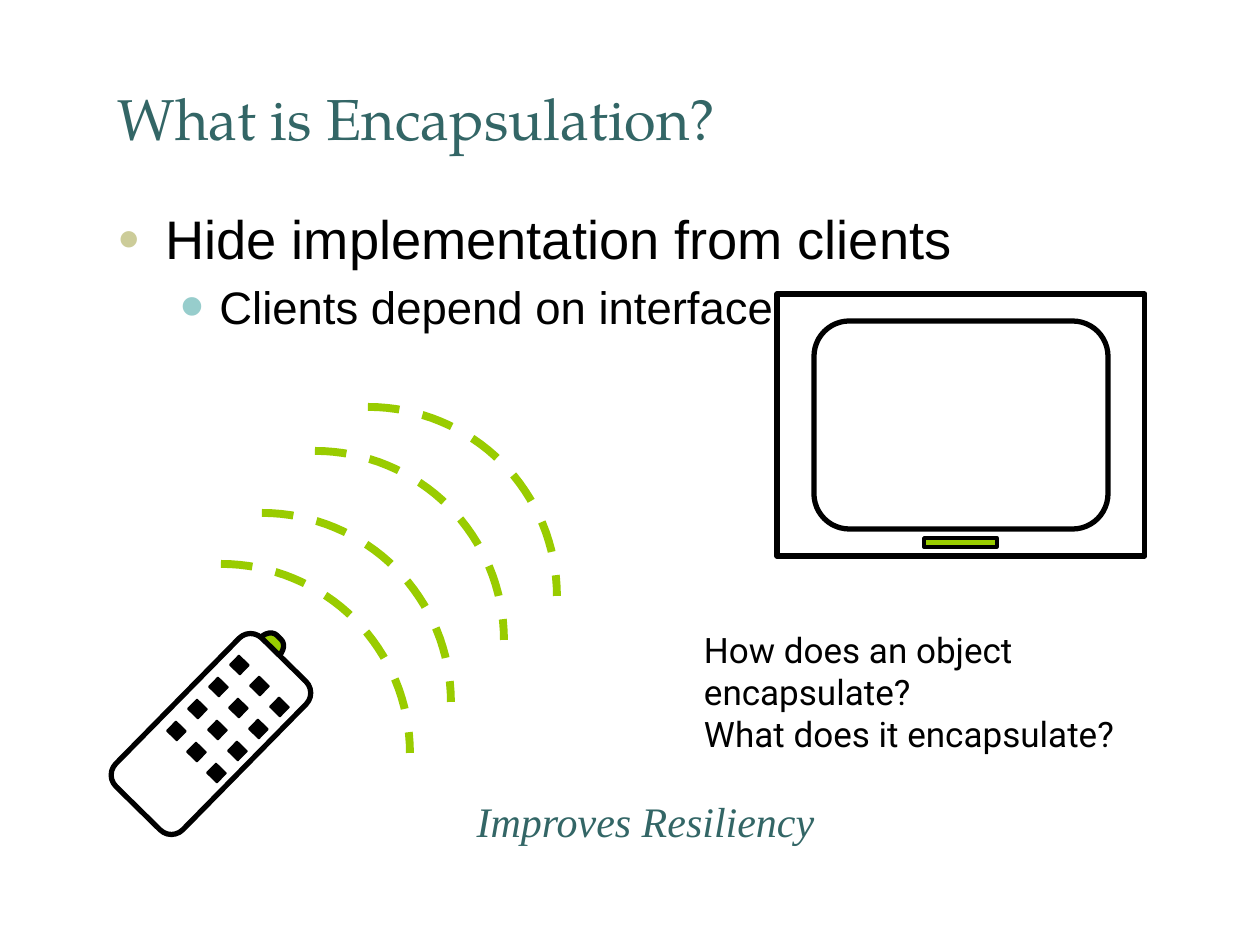
from math import cos, pi, sin

from lxml.etree import SubElement
from pptx import Presentation
from pptx.dml.color import RGBColor
from pptx.enum.dml import MSO_LINE
from pptx.enum.shapes import MSO_SHAPE
from pptx.enum.text import MSO_ANCHOR, PP_ALIGN
from pptx.oxml.ns import qn
from pptx.util import Pt

PX = 914400 // 126
BLACK = RGBColor(0x00, 0x00, 0x00)
LIME = RGBColor(0x99, 0xCC, 0x00)
TEAL = RGBColor(0x33, 0x66, 0x66)
SAND = RGBColor(0xCC, 0xCC, 0x99)
AQUA = RGBColor(0x97, 0xCD, 0xCC)

presentation = Presentation()
presentation.slide_width = 1260 * PX
presentation.slide_height = 945 * PX
slide = presentation.slides.add_slide(presentation.slide_layouts[6])


def add_part(preset, box, weight, fill=None, rotation=0, rounding=None):
    part = slide.shapes.add_shape(preset, *(length * PX for length in box))
    part.shadow.inherit = False
    part.rotation = rotation
    if rounding is not None:
        part.adjustments[0] = rounding
    if fill is None:
        part.fill.background()
    else:
        part.fill.solid()
        part.fill.fore_color.rgb = fill
    part.line.color.rgb = BLACK
    part.line.width = Pt(weight)


def add_text(box, lines, frame_format, paragraph_format, font_format, color):
    frame = slide.shapes.add_textbox(*(length * PX for length in box)).text_frame
    for key, value in {"word_wrap": True, **frame_format}.items():
        setattr(frame, key, value)
    frame.text = "\n".join(lines)
    for paragraph in frame.paragraphs:
        for key, value in paragraph_format.items():
            setattr(paragraph, key, value)
        for key, value in font_format.items():
            setattr(paragraph.font, key, value)
        paragraph.font.color.rgb = color
    return frame


RADIUS = 189
ARC_STEPS = 32
for left, top in [(221, 564), (262, 513), (315, 451), (368, 407)]:
    arc_points = [
        (
            round((left + RADIUS * sin(step * pi / 2 / ARC_STEPS)) * PX),
            round((top + RADIUS * (1 - cos(step * pi / 2 / ARC_STEPS))) * PX),
        )
        for step in range(ARC_STEPS + 1)
    ]
    outline = slide.shapes.build_freeform(*arc_points[0])
    outline.add_line_segments(arc_points[1:], close=False)
    signal = outline.convert_to_shape()
    signal.shadow.inherit = False
    signal.fill.background()
    signal.line.color.rgb = LIME
    signal.line.width = Pt(4.5)
    signal.line.dash_style = MSO_LINE.DASH

add_part(MSO_SHAPE.RECTANGLE, (777, 294, 368, 262), 3)
add_part(MSO_SHAPE.ROUNDED_RECTANGLE, (814, 321, 294, 208), 3, rounding=0.17)
add_part(MSO_SHAPE.RECTANGLE, (924, 538, 73, 9), 2, LIME)

TILT = 314.5
add_part(MSO_SHAPE.RIGHT_BRACKET, (268, 629, 13, 26), 3, LIME, TILT, 0.78)
add_part(MSO_SHAPE.ROUNDED_RECTANGLE, (107, 687, 208, 94), 3, None, TILT, 0.17)
for row in range(4):
    for column in range(3):
        button = (233 + 20 * column - 21 * row, 658 + 21 * column + 22 * row, 13, 14)
        add_part(MSO_SHAPE.RECTANGLE, button, 1, BLACK, TILT)

NOTE_MARGINS = {
    "margin_left": 15 * PX,
    "margin_right": 15 * PX,
    "margin_top": 8 * PX,
    "margin_bottom": 8 * PX,
}
add_text(
    (357, 788, 577, 66),
    ["Improves Resiliency"],
    NOTE_MARGINS,
    {"alignment": PP_ALIGN.CENTER, "space_before": Pt(2)},
    {"name": "Times New Roman", "size": Pt(24), "italic": True},
    TEAL,
)
add_text(
    (105, 0, 1061, 158),
    ["What is Encapsulation?"],
    {"vertical_anchor": MSO_ANCHOR.BOTTOM},
    {},
    {"name": "TeX Gyre Pagella", "size": Pt(33)},
    TEAL,
)
points = add_text(
    (105, 199, 1061, 557),
    ["Hide implementation from clients", "Clients depend on interface"],
    {},
    {},
    {"name": "Arial"},
    BLACK,
)
add_text(
    (689, 621, 523, 98),
    ["How does an object encapsulate?", "What does it encapsulate?"],
    NOTE_MARGINS,
    {},
    {"name": "Roboto", "size": Pt(20)},
    BLACK,
)

point_styles = [
    (0, 31, 6, 48, -48, "●", SAND, 70),
    (1, 26, 5, 102, -39, "•", AQUA, 150),
]
for point, style in zip(points.paragraphs, point_styles):
    level, size, gap, margin, indent, bullet, bullet_color, bullet_percent = style
    point.level = level
    point.font.size = Pt(size)
    point.space_before = Pt(gap)
    properties = point._p.get_or_add_pPr()
    properties.set("marL", str(margin * PX))
    properties.set("indent", str(indent * PX))
    color_holder = SubElement(properties, qn("a:buClr"))
    SubElement(color_holder, qn("a:srgbClr"), val=str(bullet_color))
    SubElement(properties, qn("a:buSzPct"), val=str(bullet_percent * 1000))
    SubElement(properties, qn("a:buFont"), typeface="Arial")
    SubElement(properties, qn("a:buChar"), char=bullet)
    properties.append(properties.find(qn("a:defRPr")))

presentation.save("out.pptx")
